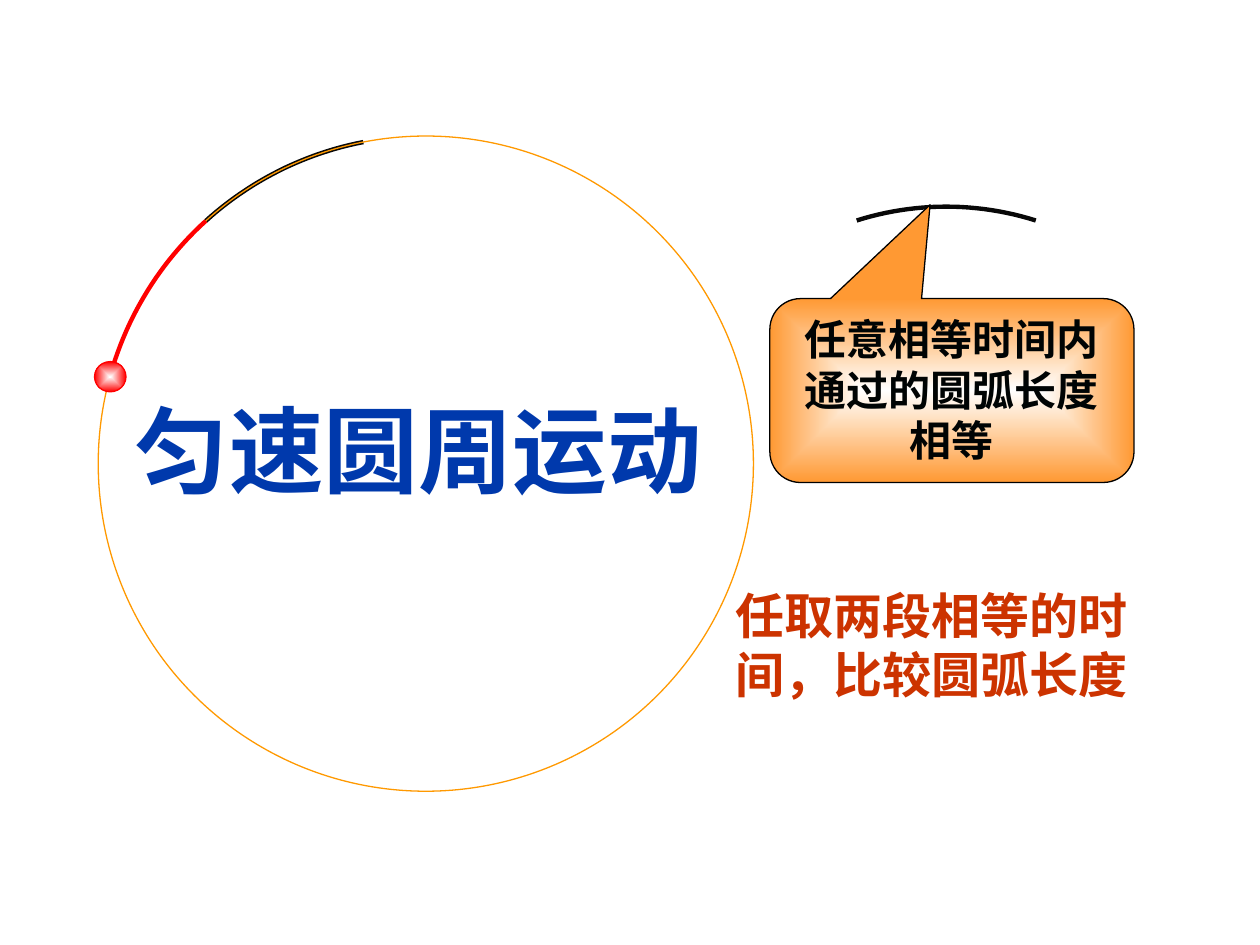
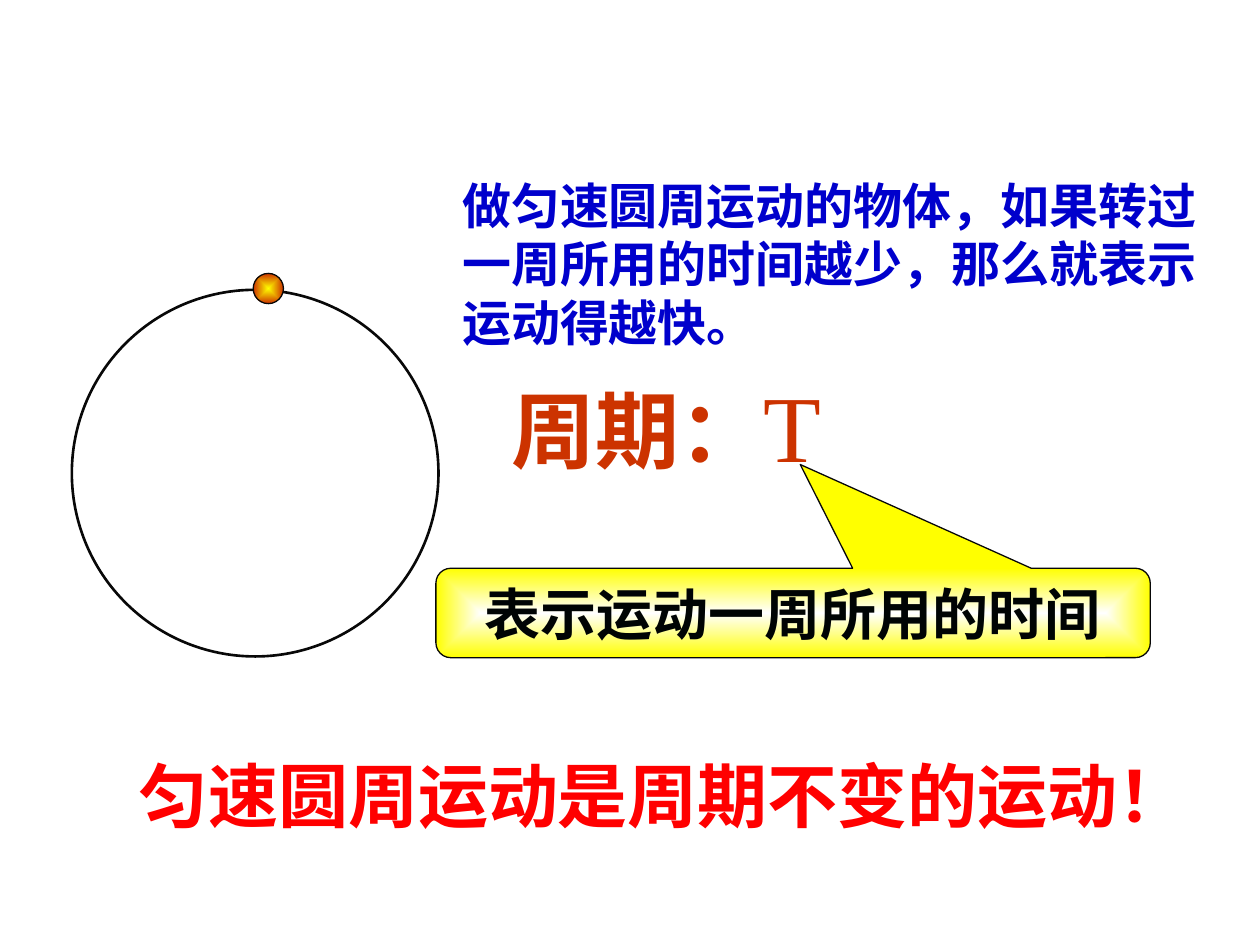
from math import cos, radians, sin

from lxml import etree
from pptx import Presentation
from pptx.dml.color import RGBColor
from pptx.enum import shapes, text
from pptx.oxml import parse_xml
from pptx.oxml.ns import nsdecls
from pptx.util import Inches, Pt

SANS, SERIF = "Arial", "Times New Roman"
INK, CALLOUT_INK = "080808", "000404"
RED, RUST, WHITE = "FF0000", "CC3300", "FFFFFF"


def rgb(value):
    return RGBColor.from_string(value)


def set_line(sp, color, width):
    sp.shadow.inherit = False
    sp.line.color.rgb = rgb(color)
    sp.line.width = Pt(width)


def set_radial_fill(sp, centre, edge, path):
    sp.fill.gradient()
    grad = sp._element.spPr.find("{*}gradFill")
    new = parse_xml(
        f'<a:gradFill {nsdecls("a")} rotWithShape="1"><a:gsLst>'
        f'<a:gs pos="0"><a:srgbClr val="{centre}"/></a:gs>'
        f'<a:gs pos="100000"><a:srgbClr val="{edge}"/></a:gs></a:gsLst>'
        f'<a:path path="{path}"><a:fillToRect l="50000" t="50000" r="50000" b="50000"/>'
        "</a:path></a:gradFill>"
    )
    grad.getparent().replace(grad, new)


def place(sp, box):
    sp.left, sp.top, sp.width, sp.height = (Inches(v) for v in box)


def write(sp, runs, color, align=text.PP_ALIGN.LEFT, anchor=text.MSO_ANCHOR.TOP):
    tf = sp.text_frame
    tf.word_wrap = True
    tf.auto_size = text.MSO_AUTO_SIZE.NONE
    tf.vertical_anchor = anchor
    tf.margin_left = tf.margin_right = Inches(0.1)
    tf.margin_top = tf.margin_bottom = Inches(0.05)
    p = tf.paragraphs[0]
    p.alignment = align
    for words, size, font, bold in runs:
        r = p.add_run()
        r.text = words
        r.font.size = Pt(size)
        r.font.name = font
        r.font.bold = bold
        r.font.color.rgb = rgb(color)


def add_title(slide, box, runs, color):
    sp = slide.shapes.title
    place(sp, box)
    write(sp, runs, color)


def add_statement(slide, box, words, size, color):
    sp = slide.shapes.add_textbox(*(Inches(v) for v in box))
    write(sp, [(words, size, SANS, True)], color)


def add_orbit(slide, box, color, width):
    sp = slide.shapes.add_shape(shapes.MSO_SHAPE.OVAL, *(Inches(v) for v in box))
    sp.fill.background()
    set_line(sp, color, width)


def add_ball(slide, box, centre, edge, line):
    sp = slide.shapes.add_shape(shapes.MSO_SHAPE.OVAL, *(Inches(v) for v in box))
    set_radial_fill(sp, centre, edge, "shape")
    set_line(sp, line, 0.75)


def add_arc(slide, centre, radius, start, end, color, steps=24):
    cx, cy = centre
    angles = [radians(start + (end - start) * i / steps) for i in range(steps + 1)]
    points = [(Inches(cx + radius * cos(a)), Inches(cy + radius * sin(a))) for a in angles]
    builder = slide.shapes.build_freeform(*points[0])
    builder.add_line_segments(points[1:], close=False)
    sp = builder.convert_to_shape()
    sp.fill.background()
    set_line(sp, color, 2.5)


def add_callout(slide, box, tip, words, size, edge, line):
    kind = shapes.MSO_SHAPE.ROUNDED_RECTANGULAR_CALLOUT
    sp = slide.shapes.add_shape(kind, *(Inches(v) for v in box))
    sp.adjustments[0], sp.adjustments[1] = tip
    sp.adjustments[2] = 0.167
    set_radial_fill(sp, WHITE, edge, "rect")
    set_line(sp, line, 0.75)
    write(sp, [(words, size, SANS, True)], CALLOUT_INK, text.PP_ALIGN.CENTER,
          text.MSO_ANCHOR.MIDDLE if box[3] < 1 else text.MSO_ANCHOR.TOP)


def draw_arc_orbit(slide, box):
    left, top, size, _ = box
    radius = size / 2
    centre = (left + radius, top + radius)
    first, middle, last = 196, 227.8, 259
    add_arc(slide, centre, radius, middle, last, INK)
    add_orbit(slide, box, "FF9900", 0.75)
    add_arc(slide, centre, radius, first, middle, RED)
    add_ball(slide, (left - 0.03, top + 1.79, 0.25, 0.24), WHITE, RED, RED)


def draw_arc_comparison(slide, box):
    left, top, width, _ = box
    radius = 2.35
    add_arc(slide, (left + width / 2, top + radius), radius, 252.4, 287.6, INK)
    add_callout(slide, (left - 0.69, top + 0.73, 2.89, 1.46), (-0.06, -1.01),
                "任意相等时间内通过的圆弧长度相等", 24, "FF9933", "000000")


def draw_period_orbit(slide, box):
    left, top = box[:2]
    add_orbit(slide, box, INK, 1.5)
    add_ball(slide, (left + 1.44, top - 0.13, 0.24, 0.24), "FFFF00", RUST, INK)


def build_uniform_motion(prs):
    slide = prs.slides.add_slide(prs.slide_layouts[5])
    draw_arc_orbit(slide, (0.78, 1.08, 5.2, 5.2))
    add_title(slide, (0.97, 3.06, 4.73, 1), [("匀速圆周运动", 54, SANS, True)], "0039AC")
    add_statement(slide, (5.74, 4.6, 3.43, 1.03), "任取两段相等的时间，比较圆弧长度", 28, RUST)
    draw_arc_comparison(slide, (6.8, 1.64, 1.42, 0.39))


def build_period(prs):
    slide = prs.slides.add_slide(prs.slide_layouts[5])
    draw_period_orbit(slide, (0.57, 2.3, 2.91, 2.91))
    add_statement(slide, (3.57, 1.34, 6.06, 1.5),
                  "做匀速圆周运动的物体，如果转过一周所用的时间越少，那么就表示运动得越快。",
                  28, "0000CC")
    add_title(slide, (3.96, 2.87, 3.15, 1),
              [("周期：", 48, SANS, True), ("T", 54, SERIF, False)], RUST)
    add_callout(slide, (3.46, 4.51, 5.67, 0.71), (0.01, -1.66),
                "表示运动一周所用的时间", 32, "FFFF00", INK)
    add_statement(slide, (1, 5.92, 8.75, 0.77), "匀速圆周运动是周期不变的运动！", 40, RED)


def main():
    prs = Presentation()
    prs.slide_width, prs.slide_height = Inches(10), Inches(7.5)
    build_uniform_motion(prs)
    build_period(prs)
    prs.save("out.pptx")


if __name__ == "__main__":
    main()
